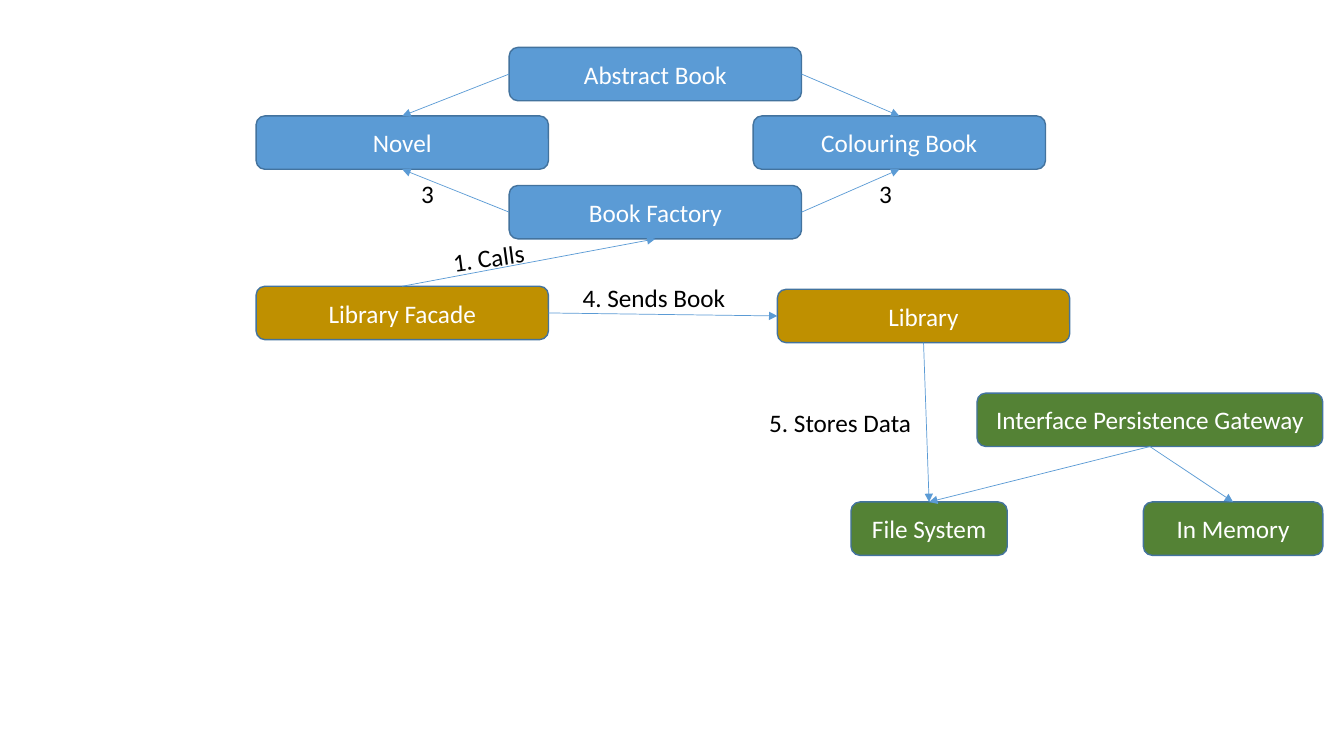
import pptx
import pptx.util
import pptx.dml.color
import pptx.enum.shapes
import pptx.enum.text
import pptx.oxml
import pptx.oxml.ns

Inches = pptx.util.Inches
Pt = pptx.util.Pt

# Content
HEX = {"book": "5B9BD5", "store": "BF9000", "save": "548235",
       "edge": "43739E", "white": "FFFFFF", "black": "000000"}
TALL, WIDE = 0.53, 2.9
BOXES = [  # text, colour, left, top, width
    ("Abstract Book", "book", 5.05, 0.47, WIDE),
    ("Novel", "book", 2.54, 1.15, WIDE),
    ("Colouring Book", "book", 7.47, 1.15, WIDE),
    ("Library", "store", 7.71, 2.87, WIDE),
    ("Library Facade", "store", 2.54, 2.84, WIDE),
    ("Interface Persistence Gateway", "save", 9.69, 3.9, 3.43),
    ("File System", "save", 8.44, 4.98, 1.55),
    ("Book Factory", "book", 5.05, 1.84, WIDE),
    ("In Memory", "save", 11.34, 4.98, 1.78),
]
TOP, LEFT, BOTTOM, RIGHT = range(4)
ARROWS = [  # from, side, to, side
    ("Abstract Book", LEFT, "Novel", TOP),
    ("Abstract Book", RIGHT, "Colouring Book", TOP),
    ("Interface Persistence Gateway", BOTTOM, "In Memory", TOP),
    ("Interface Persistence Gateway", BOTTOM, "File System", TOP),
    ("Library", BOTTOM, "File System", TOP),
    ("Library Facade", TOP, "Book Factory", BOTTOM),
    ("Library Facade", RIGHT, "Library", LEFT),
    ("Book Factory", LEFT, "Novel", BOTTOM),
    ("Book Factory", RIGHT, "Colouring Book", BOTTOM),
]
LABELS = [  # text, left, top, width, turn
    ("1. Calls", 4.39, 2.35, 0.98, 352.3),
    ("4. Sends Book", 5.68, 2.75, 1.63, 0),
    ("3", 4.08, 1.72, 0.33, 0),
    ("3", 8.62, 1.72, 0.33, 0),
    ("5. Stores Data", 7.53, 3.99, 1.62, 0),
]
FONT = {"name": "Calibri", "size": Pt(18)}
BOX_FRAME = {"word_wrap": True,
             "vertical_anchor": pptx.enum.text.MSO_ANCHOR.MIDDLE}
LABEL_FRAME = {"word_wrap": False,
               "auto_size": pptx.enum.text.MSO_AUTO_SIZE.SHAPE_TO_FIT_TEXT}


def tint(key):
    return pptx.dml.color.RGBColor.from_string(HEX[key])


def style(item, values):
    for name, value in values.items():
        setattr(item, name, value)


def write(shape, text, color, frame, align):
    style(shape.text_frame, frame)
    para = shape.text_frame.paragraphs[0]
    para.alignment = align
    run = para.add_run()
    run.text = text
    style(run.font, FONT)
    run.font.color.rgb = tint(color)


deck = pptx.Presentation()
style(deck, {"slide_width": Inches(13.33), "slide_height": Inches(7.5)})
slide = deck.slides.add_slide(deck.slide_layouts[6])

# Boxes
nodes = {}
for text, color, left, top, width in BOXES:
    box = slide.shapes.add_shape(
        pptx.enum.shapes.MSO_SHAPE.ROUNDED_RECTANGLE,
        Inches(left), Inches(top), Inches(width), Inches(TALL))
    box.shadow.inherit = False
    box.fill.solid()
    box.fill.fore_color.rgb = tint(color)
    box.line.color.rgb = tint("edge")
    box.line.width = Pt(1)
    write(box, text, "white", BOX_FRAME, pptx.enum.text.PP_ALIGN.CENTER)
    nodes[text] = box

# Arrows
for start, exit_side, end, entry in ARROWS:
    arrow = slide.shapes.add_connector(
        pptx.enum.shapes.MSO_CONNECTOR.STRAIGHT, 0, 0, 0, 0)
    arrow.begin_connect(nodes[start], exit_side)
    arrow.end_connect(nodes[end], entry)
    arrow.line.color.rgb = tint("book")
    arrow.line.width = Pt(0.5)
    head = pptx.oxml.parse_xml(
        "<a:tailEnd %s type='triangle'/>" % pptx.oxml.ns.nsdecls("a"))
    arrow.line._get_or_add_ln().append(head)
    arrow._element.spPr.append(pptx.oxml.parse_xml(
        "<a:effectLst %s/>" % pptx.oxml.ns.nsdecls("a")))

# Labels
for text, left, top, width, turn in LABELS:
    label = slide.shapes.add_textbox(
        Inches(left), Inches(top), Inches(width), Inches(0.4))
    label.rotation = turn
    write(label, text, "black", LABEL_FRAME, pptx.enum.text.PP_ALIGN.LEFT)

deck.save("out.pptx")
